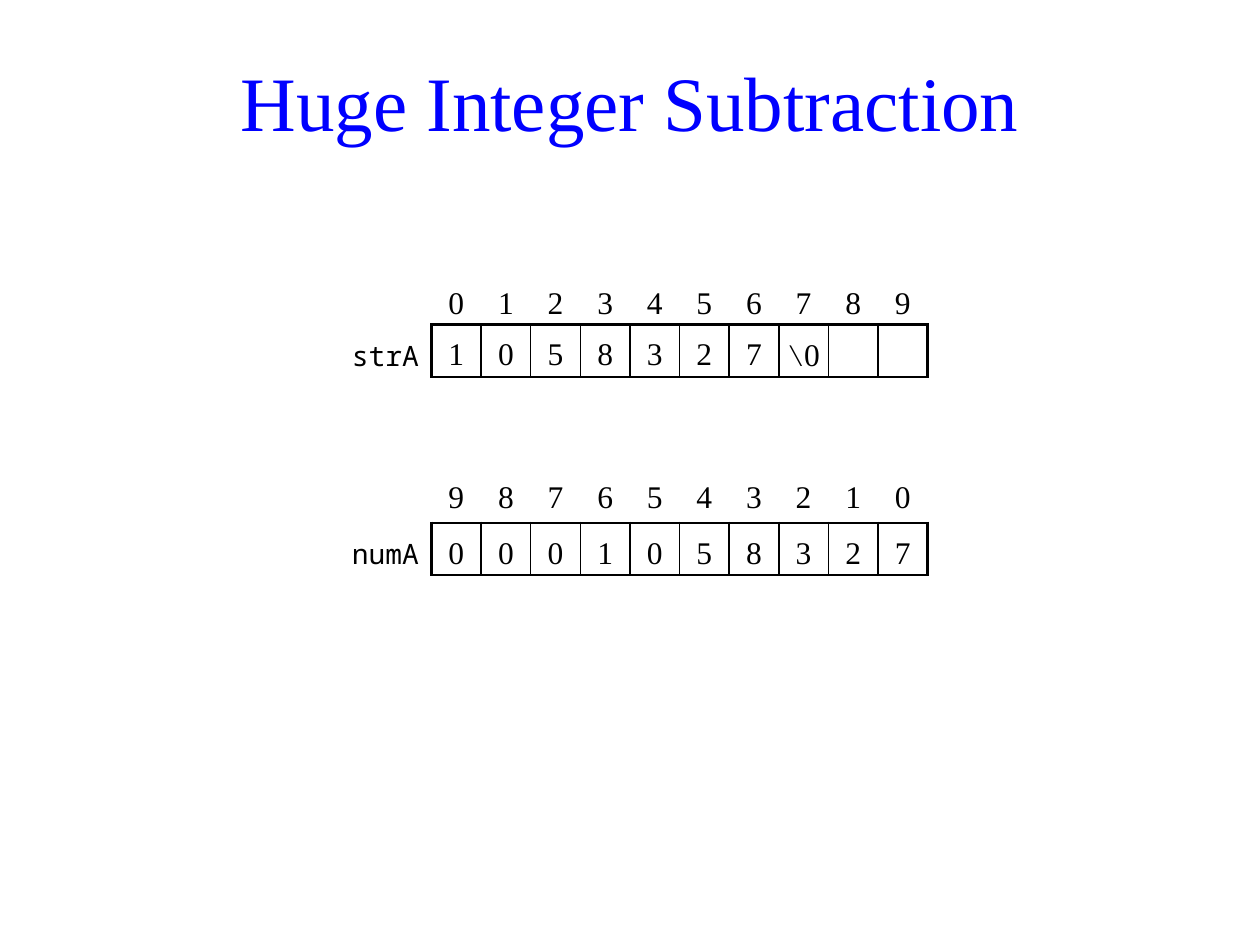
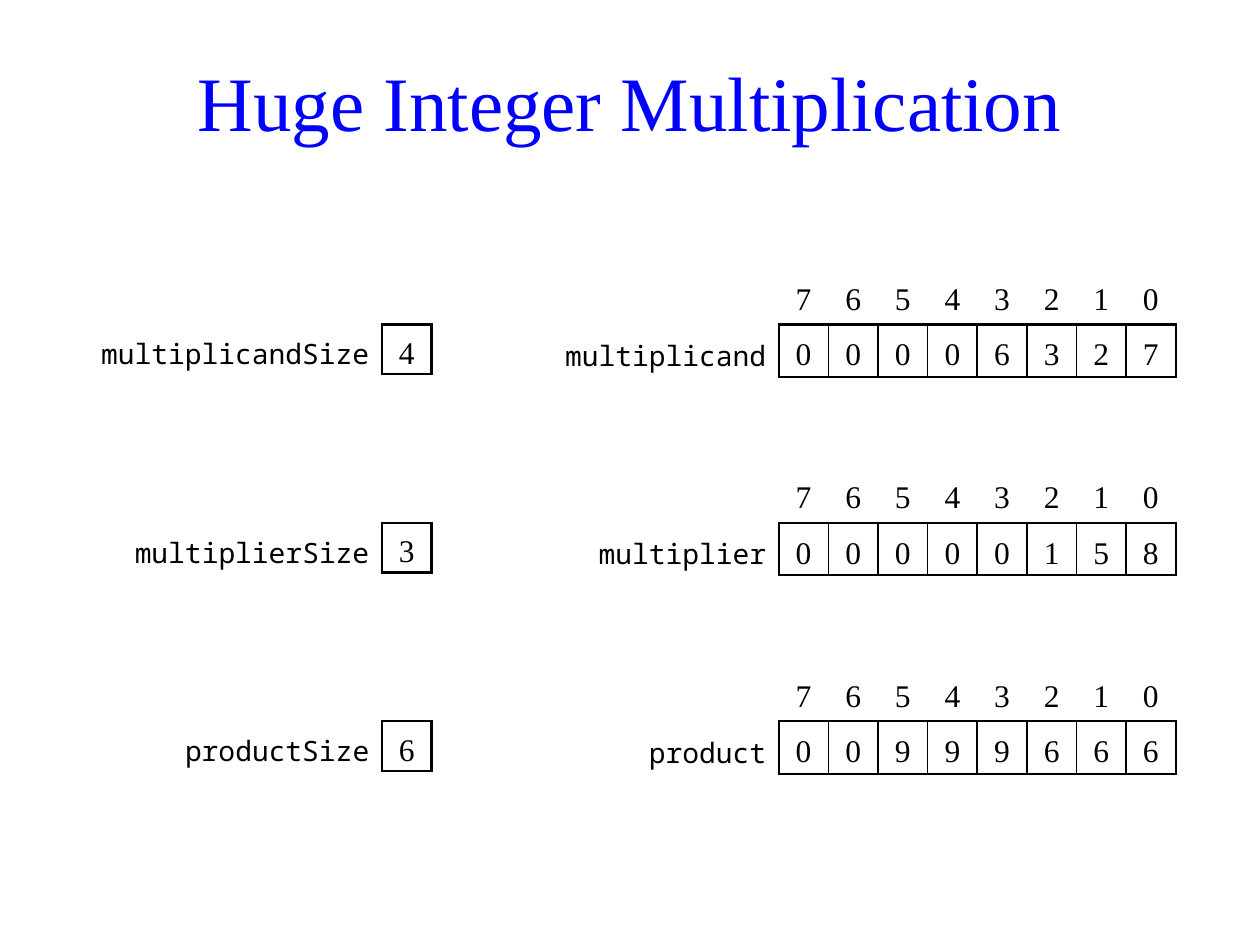
from dataclasses import dataclass
from typing import NamedTuple

from lxml import etree
from pptx import Presentation
from pptx import util as u
from pptx.dml import color
from pptx.enum import text
from pptx.oxml import ns


# Shared look
class TypeStyle(NamedTuple):
    font: str
    size: float


@dataclass(frozen=True)
class Theme:
    ink: str = "000000"
    heading: str = "0000FF"
    title: TypeStyle = TypeStyle("Times New Roman", 44)
    digit: TypeStyle = TypeStyle("Times New Roman", 18)
    variable: TypeStyle = TypeStyle("Noto Sans Mono", 16)
    backslash: TypeStyle = TypeStyle("TeX Gyre Schola", 16)
    outer_line: float = 1.5
    inner_line: float = 1


THEME = Theme()

# Grid: square cells, with the arrays four cells apart
CELL = 28.35
FIRST_TOP = 157
ROW_STEP = 4 * CELL
GRID_LEFT = 246.6
TITLE_BOX = {"left": u.Pt(34), "top": u.Pt(15), "width": u.Pt(652), "height": u.Pt(85)}


class Margins(NamedTuple):
    left: float = 0
    top: float = 0
    right: float = 0
    bottom: float = 0


ARRAY_LABEL = Margins(7.2, 1.44, 7.2, 1.44)
SIZE_LABEL = Margins(left=5.76, right=7.2)


@dataclass(frozen=True)
class Variable:
    """A labelled row of boxes; widths and columns are counted in cells."""
    name: str
    label_width: float
    column: int
    row: int
    digits: tuple[str, ...]
    indexes: tuple[str, ...] = ()
    index_spacing: float = 1.0


@dataclass(frozen=True)
class Page:
    title: str
    variables: tuple[Variable, ...]


DOWN_FROM_9 = tuple("9876543210")
DOWN_FROM_7 = tuple("76543210")

PAGES = (
    Page("Huge Integer Subtraction", (
        Variable("strA", 2, 0, 0, (*"1058327", r"\0", "", ""), tuple("0123456789"), 1.25),
        Variable("numA", 2, 0, 1, tuple("0001058327"), DOWN_FROM_9),
    )),
    Page("Huge Integer Multiplication", (
        Variable("multiplicand", 5, 7, 0, tuple("00006327"), DOWN_FROM_7),
        Variable("multiplier", 5, 7, 1, tuple("00000158"), DOWN_FROM_7),
        Variable("product", 4, 7, 2, tuple("00999666"), DOWN_FROM_7),
        Variable("multiplicandSize", 6, -1, 0, ("4",)),
        Variable("multiplierSize", 5.5, -1, 1, ("3",)),
        Variable("productSize", 4.5, -1, 2, ("6",)),
    )),
)


def apply(target, values: dict) -> None:
    for attribute, value in values.items():
        setattr(target, attribute, value)


def write(paragraph, words: str, style: TypeStyle, ink: str, align, spacing: float = 1.0) -> None:
    apply(paragraph, {"alignment": align, "line_spacing": spacing})
    pieces = ["\\", words[1:]] if words.startswith("\\") else [words]
    for piece in pieces:
        run = paragraph.add_run()
        run.text = piece
        face = THEME.backslash if piece == "\\" else style
        apply(run.font, {"name": face.font, "size": u.Pt(face.size), "bold": False})
        run.font.color.rgb = color.RGBColor.from_string(ink)


def set_borders(cell, widths: dict[str, float]) -> None:
    """Draw the given sides (L, R, T, B) and clear the others."""
    properties = cell._tc.get_or_add_tcPr()
    for side in "LRTB":
        line = etree.SubElement(properties, ns.qn(f"a:ln{side}"))
        if side not in widths:
            etree.SubElement(line, ns.qn("a:noFill"))
            continue
        line.set("w", str(int(u.Pt(widths[side]))))
        fill = etree.SubElement(line, ns.qn("a:solidFill"))
        etree.SubElement(fill, ns.qn("a:srgbClr")).set("val", THEME.ink)


def fill_cell(cell, words: str, style: TypeStyle, borders: dict[str, float],
              align=text.PP_ALIGN.CENTER, spacing: float = 1.25,
              margins: Margins = Margins()) -> None:
    set_borders(cell, borders)
    cell.fill.background()
    cell.vertical_anchor = text.MSO_ANCHOR.MIDDLE
    apply(cell, {f"margin_{side}": u.Pt(gap) for side, gap in margins._asdict().items()})
    if words:
        write(cell.text_frame.paragraphs[0], words, style, THEME.ink, align, spacing)


def draw_variable(slide, variable: Variable) -> None:
    count = len(variable.digits)
    row_count = 2 if variable.indexes else 1
    label_width = variable.label_width * CELL
    left = GRID_LEFT + variable.column * CELL - label_width
    top = FIRST_TOP + variable.row * ROW_STEP + (2 - row_count) * CELL
    table = slide.shapes.add_table(
        row_count, count + 1, u.Pt(left), u.Pt(top),
        u.Pt(label_width + count * CELL), u.Pt(row_count * CELL)).table
    apply(table, {"first_row": False, "horz_banding": False})
    for number, column in enumerate(table.columns):
        column.width = u.Pt(CELL if number else label_width)
    for row in table.rows:
        row.height = u.Pt(CELL)

    outer, inner = THEME.outer_line, THEME.inner_line
    # Index numbers above the boxes
    if variable.indexes:
        fill_cell(table.cell(0, 0), "", THEME.digit, {})
        for number, index in enumerate(variable.indexes, start=1):
            fill_cell(table.cell(0, number), index, THEME.digit, {"B": outer},
                      spacing=variable.index_spacing)
    # Name, then the boxes
    bottom = row_count - 1
    fill_cell(table.cell(bottom, 0), variable.name, THEME.variable, {"R": outer},
              text.PP_ALIGN.RIGHT,
              margins=ARRAY_LABEL if variable.indexes else SIZE_LABEL)
    for number, digit in enumerate(variable.digits, start=1):
        frame = {"L": outer if number == 1 else inner,
                 "R": outer if number == count else inner,
                 "T": outer, "B": outer}
        fill_cell(table.cell(bottom, number), digit, THEME.digit, frame)


def draw_page(deck, page: Page) -> None:
    slide = deck.slides.add_slide(deck.slide_layouts.get_by_name("Title Only"))
    heading = slide.shapes.title
    apply(heading, TITLE_BOX)
    heading.text_frame.vertical_anchor = text.MSO_ANCHOR.MIDDLE
    write(heading.text_frame.paragraphs[0], page.title, THEME.title, THEME.heading,
          text.PP_ALIGN.CENTER)
    for variable in page.variables:
        draw_variable(slide, variable)


def main() -> None:
    deck = Presentation()
    apply(deck, {"slide_width": u.Pt(720), "slide_height": u.Pt(540)})
    for page in PAGES:
        draw_page(deck, page)
    deck.save("out.pptx")


if __name__ == "__main__":
    main()
